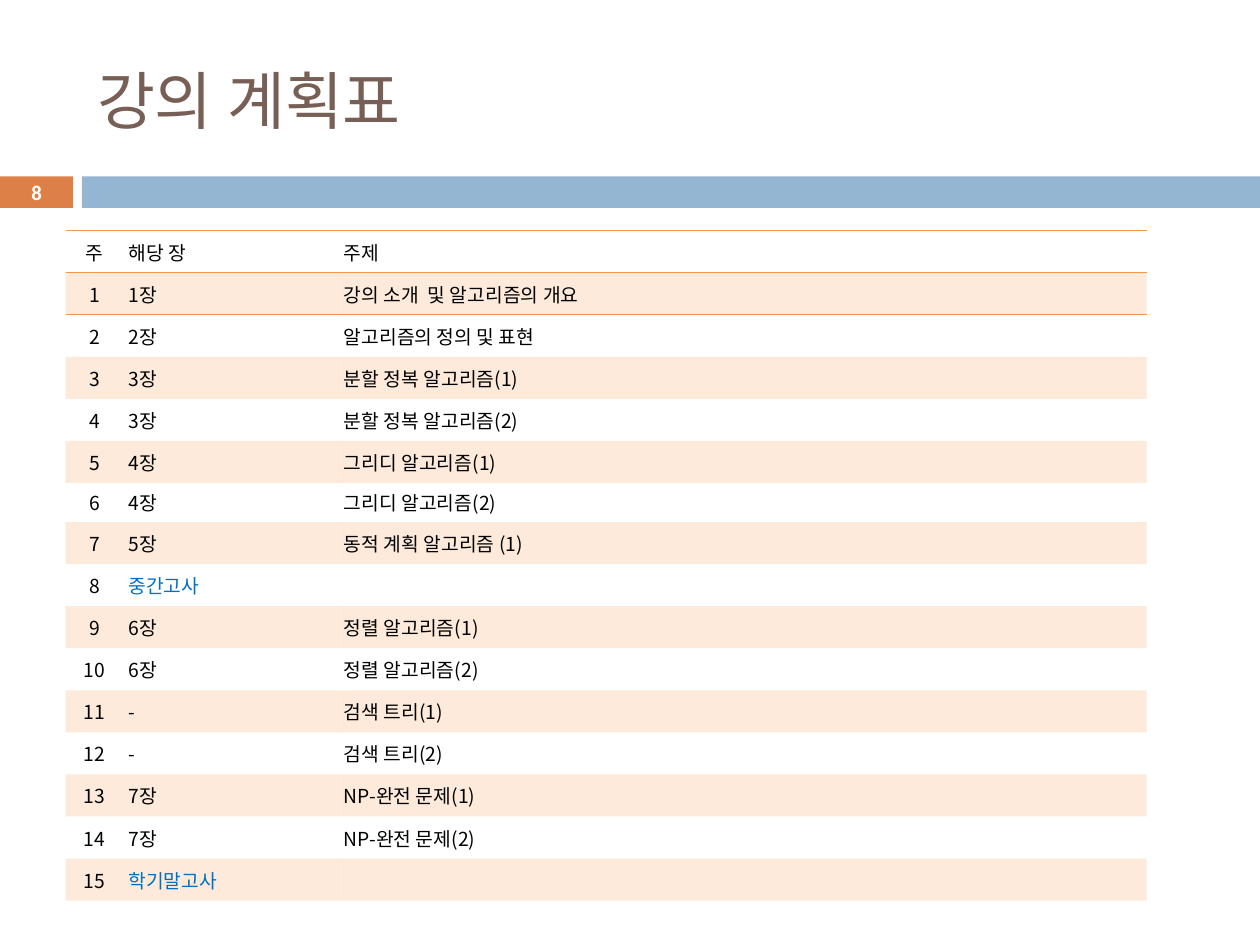
from lxml import etree
from pptx import Presentation, util as u
from pptx.dml.color import RGBColor
from pptx.enum import shapes, text
from pptx.oxml import ns

# Content
TITLE = "강의 계획표"
PAGE_NUMBER = "8"
HEADER = ("주", "해당 장", "주제")
WEEKS = [
    ("1장", "강의 소개  및 알고리즘의 개요"),
    ("2장", "알고리즘의 정의 및 표현"),
    ("3장", "분할 정복 알고리즘(1)"),
    ("3장", "분할 정복 알고리즘(2)"),
    ("4장", "그리디 알고리즘(1)"),
    ("4장", "그리디 알고리즘(2)"),
    ("5장", "동적 계획 알고리즘 (1)"),
    ("중간고사", ""),
    ("6장", "정렬 알고리즘(1)"),
    ("6장", "정렬 알고리즘(2)"),
    ("-", "검색 트리(1)"),
    ("-", "검색 트리(2)"),
    ("7장", "NP-완전 문제(1)"),
    ("7장", "NP-완전 문제(2)"),
    ("학기말고사", ""),
]
MIDTERM_ROW, SHORT_ROW = 8, 6

# Style
COLORS = {"title": "775F55", "number": "DD8047", "bar": "94B6D2", "accent": "F79646",
          "exam": "0070C0", "text": "000000", "white": "FFFFFF"}
KOREAN, LATIN = "Noto Sans CJK KR", "Calibri"
COLUMN_WIDTHS = (0.46, 1.71, 6.41)
ROW_HEIGHT, SHORT_HEIGHT = 0.334, 0.31
BAR_TOP, BAR_HEIGHT, NUMBER_WIDTH, BAR_LEFT = 1.4, 0.25, 0.58, 0.65
BAND_OPACITY = 20
PLAIN_TABLE = "{2D5ABB26-0587-4C30-8999-92F81FD0307C}"


def add_run(para, words, size, font, color, bold=False):
    span = para.add_run()
    span.text = words
    span.font.size = u.Pt(size)
    span.font.name = font
    span.font.bold = bold
    span.font.color.rgb = RGBColor.from_string(COLORS[color])
    etree.SubElement(span.font._element, ns.qn("a:ea")).set("typeface", font)


def add_block(page, left, width, color):
    block = page.shapes.add_shape(shapes.MSO_SHAPE.RECTANGLE, u.Inches(left), u.Inches(BAR_TOP),
                                  u.Inches(width), u.Inches(BAR_HEIGHT))
    block.shadow.inherit = False
    block.fill.solid()
    block.fill.fore_color.rgb = RGBColor.from_string(COLORS[color])
    block.line.fill.background()
    return block


def add_borders(cell, sides):
    props = cell._tc.get_or_add_tcPr()
    for index, side in enumerate(sides):
        line = etree.Element(ns.qn("a:" + side), w=str(u.Pt(1)))
        fill = etree.SubElement(line, ns.qn("a:solidFill"))
        etree.SubElement(fill, ns.qn("a:srgbClr"), val=COLORS["accent"])
        props.insert(index, line)


def fill_band(cell):
    cell.fill.solid()
    cell.fill.fore_color.rgb = RGBColor.from_string(COLORS["accent"])
    color = cell._tc.tcPr.find(".//" + ns.qn("a:srgbClr"))
    etree.SubElement(color, ns.qn("a:alpha"), val=str(BAND_OPACITY * 1000))


def add_schedule(page):
    rows = [HEADER] + [(str(week), *entry) for week, entry in enumerate(WEEKS, 1)]
    heights = [SHORT_HEIGHT if r == SHORT_ROW else ROW_HEIGHT for r in range(len(rows))]
    frame = page.shapes.add_table(len(rows), len(HEADER), u.Inches(0.52), u.Inches(1.83),
                                  u.Inches(sum(COLUMN_WIDTHS)), u.Inches(sum(heights)))
    table = frame.table
    table._tbl.tblPr.find(ns.qn("a:tableStyleId")).text = PLAIN_TABLE
    table.first_row = table.horz_banding = False
    for column, width in zip(table.columns, COLUMN_WIDTHS):
        column.width = u.Inches(width)
    for r, (row, height) in enumerate(zip(rows, heights)):
        table.rows[r].height = u.Inches(height)
        for c, words in enumerate(row):
            cell = table.cell(r, c)
            cell.vertical_anchor = text.MSO_ANCHOR.MIDDLE
            cell.margin_left = cell.margin_right = u.Inches(0.04)
            cell.margin_top = cell.margin_bottom = u.Inches(0.04)
            para = cell.text_frame.paragraphs[0]
            para.alignment = text.PP_ALIGN.CENTER if c == 0 else text.PP_ALIGN.LEFT
            para.font.size = u.Pt(11)
            if words:
                is_exam = c == 1 and not row[2]
                add_run(para, words, 11, KOREAN, "exam" if is_exam else "text")
            if r % 2:
                fill_band(cell)
            else:
                cell.fill.background()
            if r < 2:
                add_borders(cell, ("lnT", "lnB") if r == 0 else ("lnT",))
    table.cell(MIDTERM_ROW, 1).merge(table.cell(MIDTERM_ROW, 2))


def main():
    deck = Presentation()
    deck.slide_width, deck.slide_height = u.Inches(10), u.Inches(7.5)
    page = deck.slides.add_slide(deck.slide_layouts[5])

    # Title
    title = page.shapes.title
    title.left, title.top = u.Inches(0.67), u.Inches(0.25)
    title.width, title.height = u.Inches(8.92), u.Inches(1.08)
    title.text_frame.vertical_anchor = text.MSO_ANCHOR.MIDDLE
    para = title.text_frame.paragraphs[0]
    para.alignment = text.PP_ALIGN.LEFT
    add_run(para, TITLE, 36, KOREAN, "title")

    # Page number and bar
    number = add_block(page, 0, NUMBER_WIDTH, "number")
    box = number.text_frame
    box.margin_top = box.margin_bottom = 0
    box.vertical_anchor = text.MSO_ANCHOR.MIDDLE
    box.paragraphs[0].alignment = text.PP_ALIGN.CENTER
    add_run(box.paragraphs[0], PAGE_NUMBER, 11.9, LATIN, "white", bold=True)
    add_block(page, BAR_LEFT, 10 - BAR_LEFT, "bar")

    add_schedule(page)
    deck.save("out.pptx")


if __name__ == "__main__":
    main()
